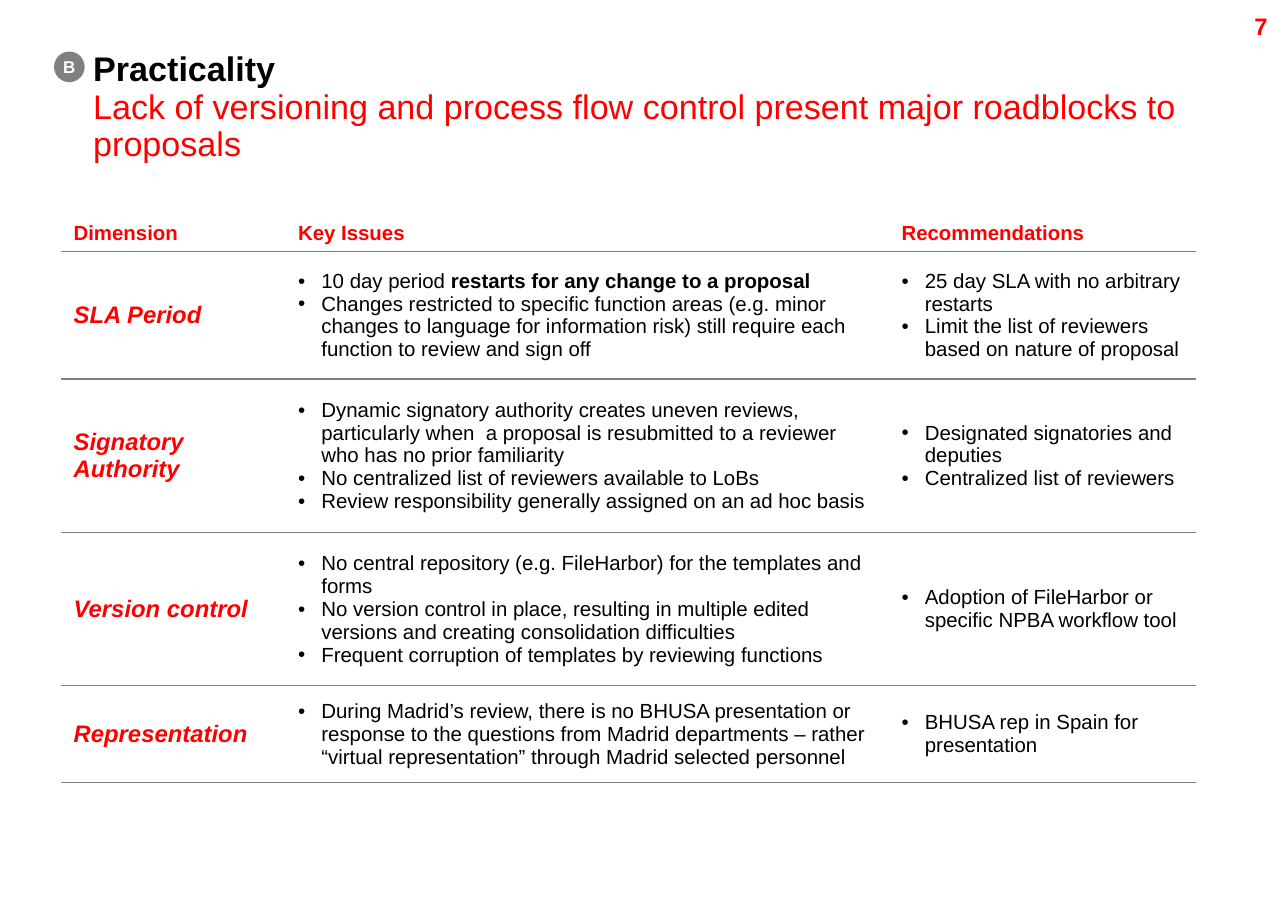
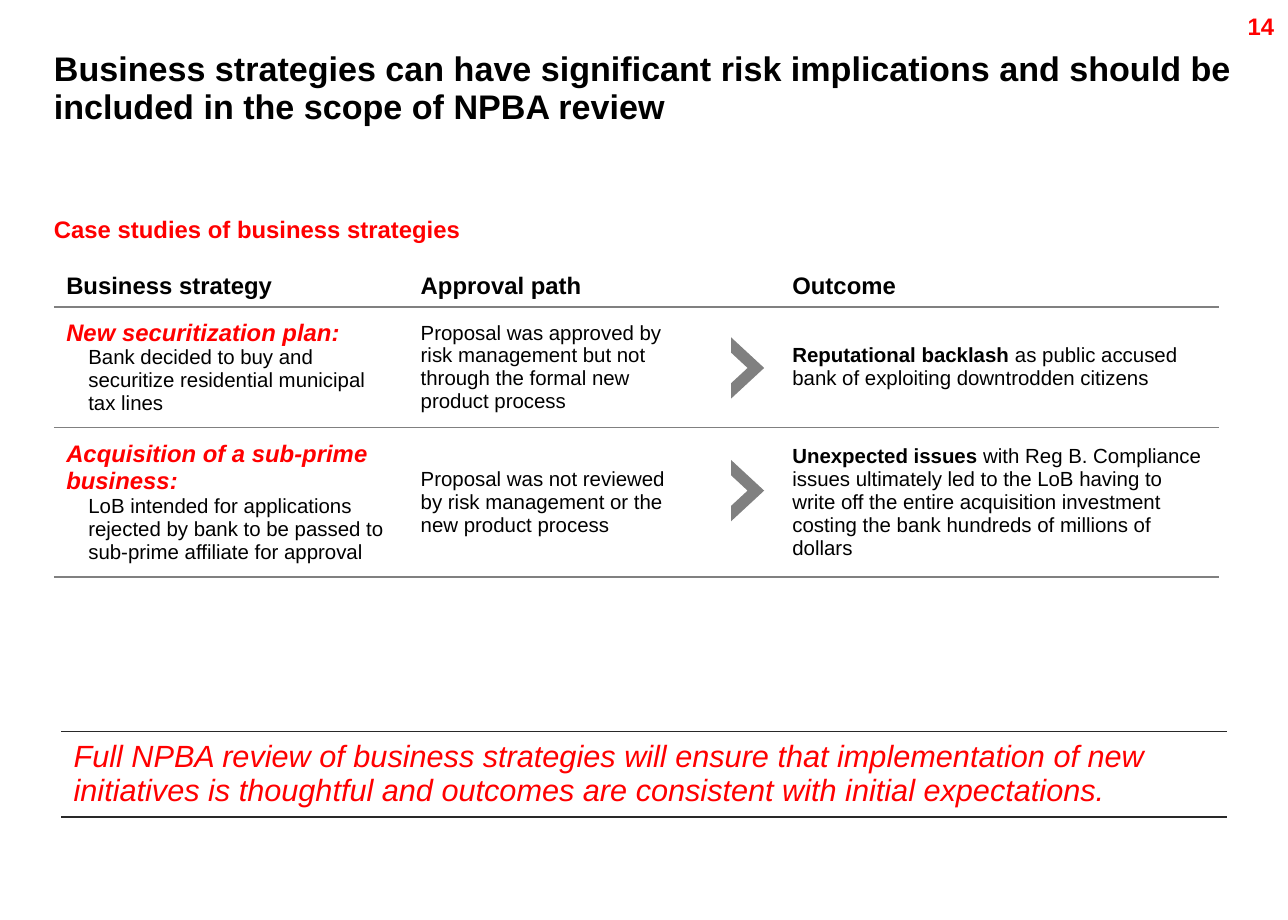
from pptx import Presentation
from pptx.dml.color import RGBColor
from pptx.enum.shapes import MSO_SHAPE
from pptx.enum.text import MSO_ANCHOR, PP_ALIGN
from pptx.oxml.ns import qn
from pptx.util import Inches, Pt
from lxml.etree import SubElement

OVAL = MSO_SHAPE.OVAL
MIDDLE, TOP = MSO_ANCHOR.MIDDLE, MSO_ANCHOR.TOP
CENTER, LEFT = PP_ALIGN.CENTER, PP_ALIGN.LEFT
FONT = "Arial"
RED, BLACK, GREY, DARK, WHITE = "FF0000", "000000", "808080", "292929", "FFFFFF"
NO_GRID = "{2D5ABB26-0587-4C30-8999-92F81FD0307C}"

# style: size, colour, bold, italic, left indent, bullet
STYLES = {
    "title": (20, BLACK, True, False, 0, False),
    "lead": (20, RED, False, False, 0, False),
    "label": (14, RED, True, False, 0, False),
    "badge": (10, WHITE, True, False, 0, False),
    "head": (12, RED, True, False, 0, False),
    "column": (14, BLACK, True, False, 0, False),
    "name": (14, RED, True, True, 0, False),
    "item": (12, BLACK, False, False, 0.19, True),
    "detail": (12, BLACK, False, False, 0.18, False),
    "plain": (12, BLACK, False, False, 0, False),
    "claim": (18, RED, False, True, 0, False),
}

ISSUES = [
    ("SLA Period",
     ["10 day period *restarts for any change to a proposal*",
      "Changes restricted to specific function areas (e.g. minor changes to "
      "language for information risk) still require each function to review and sign off"],
     ["25 day SLA with no arbitrary restarts",
      "Limit the list of reviewers based on nature of proposal"]),
    ("Signatory Authority",
     ["Dynamic signatory authority creates uneven reviews, particularly when  a "
      "proposal is resubmitted to a reviewer who has no prior familiarity",
      "No centralized list of reviewers available to LoBs",
      "Review responsibility generally assigned on an ad hoc basis"],
     ["Designated signatories and deputies", "Centralized list of reviewers"]),
    ("Version control",
     ["No central repository (e.g. FileHarbor) for the templates and forms",
      "No version control in place, resulting in multiple edited versions and "
      "creating consolidation difficulties",
      "Frequent corruption of templates by reviewing functions"],
     ["Adoption of FileHarbor or specific NPBA workflow tool"]),
    ("Representation",
     ["During Madrid’s review, there is no BHUSA presentation or response to the "
      "questions from Madrid departments – rather “virtual representation” through "
      "Madrid selected personnel"],
     ["BHUSA rep in Spain for presentation"]),
]

CASES = [
    ("New securitization plan:",
     "Bank decided to buy and securitize residential municipal tax lines",
     "Proposal was approved by risk management but not through the formal new product process",
     "*Reputational backlash* as public accused bank of exploiting downtrodden citizens"),
    ("Acquisition of a sub-prime business:",
     "LoB intended for applications rejected by bank to be passed to sub-prime "
     "affiliate for approval",
     "Proposal was not reviewed by risk management or the new product process",
     "*Unexpected issues* with Reg B. Compliance issues ultimately led to the LoB having "
     "to write off the entire acquisition investment costing the bank hundreds of "
     "millions of dollars"),
]


def color(code):
    """Turn a hex string into a colour."""
    return RGBColor.from_string(code)


def write(frame, paras, align=LEFT, space=None):
    """Fill a frame with (style, text) paragraphs; stars enclose bold words."""
    for n, (style, text) in enumerate(paras):
        size, tint, bold, slant, left, bullet = STYLES[style]
        para = frame.paragraphs[0] if n == 0 else frame.add_paragraph()
        para.alignment = align
        if space:
            para.line_spacing = space
        props = para._p.get_or_add_pPr()
        if left:
            props.set("marL", str(Inches(left)))
            props.set("indent", str(Inches(-left if bullet else 0)))
        if bullet:
            SubElement(props, qn("a:buFont"), typeface=FONT)
            SubElement(props, qn("a:buChar"), char="•")
        for k, part in enumerate(text.split("*")):
            if part:
                run = para.add_run()
                run.text = part
                font = run.font
                font.name, font.size = FONT, Pt(size)
                font.bold, font.italic = bold or k % 2 == 1, slant
                font.color.rgb = color(tint)
        if not text:
            SubElement(para._p, qn("a:endParaRPr"), sz=str(size * 100))


def bare(frame, anchor):
    """Remove the margins of a frame and set its anchor."""
    frame.margin_left = frame.margin_right = 0
    frame.margin_top = frame.margin_bottom = 0
    frame.vertical_anchor = anchor


def label(slide, box, paras, align=LEFT, anchor=TOP, space=None):
    """Place a text box without margins."""
    frame = slide.shapes.add_textbox(*map(Inches, box)).text_frame
    frame.word_wrap = True
    bare(frame, anchor)
    write(frame, paras, align, space)


def badge(slide, box, text):
    """Place a round grey marker with a letter."""
    shape = slide.shapes.add_shape(OVAL, *map(Inches, box))
    shape.shadow.inherit = False
    shape.fill.solid()
    shape.fill.fore_color.rgb = color(GREY)
    shape.line.fill.background()
    frame = shape.text_frame
    frame.word_wrap = False
    bare(frame, MIDDLE)
    write(frame, [("badge", text)], CENTER)


def rule(cell, side, tint, width):
    """Draw one horizontal border of a cell."""
    props = cell._tc.get_or_add_tcPr()
    line = props.makeelement(qn("a:" + side), {"w": str(Pt(width))})
    fill = SubElement(line, qn("a:solidFill"))
    SubElement(fill, qn("a:srgbClr"), val=tint)
    props.insert(0, line)


def grid(slide, left, top, cols, rows, cells, tint=GREY, width=1, roof=False):
    """Place a table ruled below each row, and above the first with a roof."""
    frame = slide.shapes.add_table(len(rows), len(cols), Inches(left), Inches(top),
                                   Inches(sum(cols)), Inches(sum(rows)))
    table = frame.table
    table.first_row = table.horz_banding = False
    table._tbl.tblPr.find(qn("a:tableStyleId")).text = NO_GRID
    for col, size in zip(table.columns, cols):
        col.width = Inches(size)
    for r, size in enumerate(rows):
        table.rows[r].height = Inches(size)
        for c, paras in enumerate(cells[r]):
            cell = table.cell(r, c)
            cell.fill.background()
            cell.vertical_anchor = MIDDLE
            write(cell.text_frame, paras)
            rule(cell, "lnB", tint, width)
            if roof and r == 0:
                rule(cell, "lnT", tint, width)


def arrow(slide, left, top, wide, high):
    """Draw a grey chevron pointing right."""
    notch = high / 4
    points = [(0, 0), (0, notch), (wide / 2, high / 2), (0, high - notch),
              (0, high), (wide, high / 2)]
    spots = [(Inches(left + x), Inches(top + y)) for x, y in points]
    pen = slide.shapes.build_freeform(*spots[0])
    pen.add_line_segments(spots[1:], close=True)
    shape = pen.convert_to_shape()
    shape.shadow.inherit = False
    shape.fill.solid()
    shape.fill.fore_color.rgb = color(GREY)
    shape.line.fill.background()


def page(deck, number, left, title):
    """Add a slide with its page number and title."""
    slide = deck.slides.add_slide(deck.slide_layouts[6])
    label(slide, (10.06, 0, 0.44, 0.42), [("label", number)], CENTER, MIDDLE)
    label(slide, (left, 0.42, 10.07 - left, 0.8), title, space=0.92)
    return slide


def issues(deck):
    """Build the slide of key issues and recommendations."""
    slide = page(deck, "7", 0.76, [
        ("title", "Practicality"),
        ("lead", "Lack of versioning and process flow control present major "
                 "roadblocks to proposals")])
    badge(slide, (0.44, 0.42, 0.25, 0.25), "B")
    cells = [[[("head", text)] for text in ("Dimension", "Key Issues", "Recommendations")]]
    for name, *lists in ISSUES:
        cells.append([[("name", name)]] + [[("item", t) for t in part] for part in lists])
    grid(slide, 0.5, 1.75, (1.83, 4.92, 2.5), (0.29, 1.04, 1.25, 1.25, 0.79), cells)


def cases(deck):
    """Build the slide of case studies."""
    slide = page(deck, "14", 0.44, [
        ("title", "Business strategies can have significant risk implications and "
                  "should be included in the scope of NPBA review")])
    label(slide, (0.44, 1.75, 9.56, 0.28), [("label", "Case studies of business strategies")])
    cells = [[[("column", text)] for text in
              ("Business strategy", "Approval path", "", "Outcome")]]
    for name, detail, route, result in CASES:
        cells.append([[("name", name), ("detail", detail)], [("plain", route)],
                      [("plain", "")], [("plain", result)]])
    grid(slide, 0.44, 2.17, (2.89, 2.41, 0.62, 3.58), (0.32, 0.98, 1.22), cells)
    for n in range(len(CASES)):
        arrow(slide, 5.96, 2.75 + n, 0.27, 0.5)
    claim = ("Full NPBA review of business strategies will ensure that implementation of "
             "new initiatives is thoughtful and outcomes are consistent with initial "
             "expectations.")
    grid(slide, 0.5, 5.96, (9.5,), (0.66,), [[[("claim", claim)]]], DARK, 0.75, True)


def main():
    """Build and save the deck."""
    deck = Presentation()
    deck.slide_width, deck.slide_height = Inches(10.5), Inches(7.5)
    issues(deck)
    cases(deck)
    deck.save("out.pptx")


if __name__ == "__main__":
    main()
